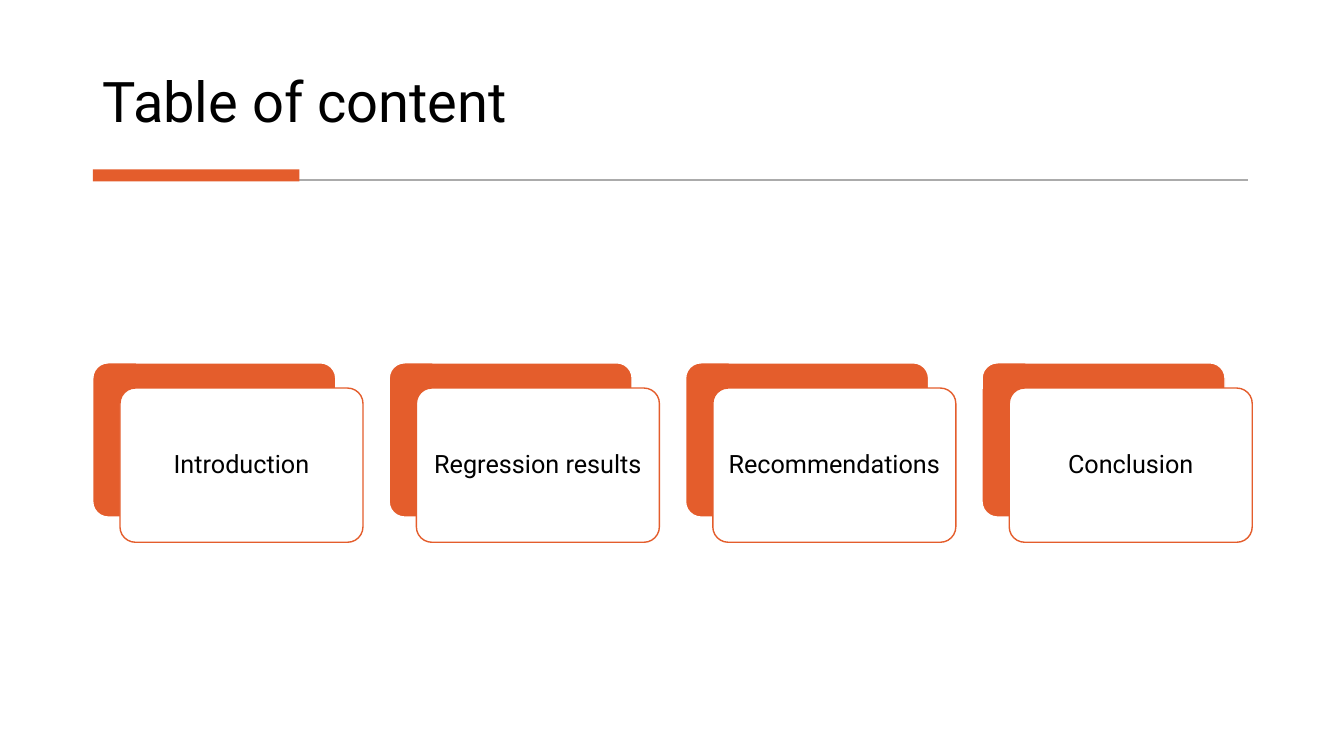
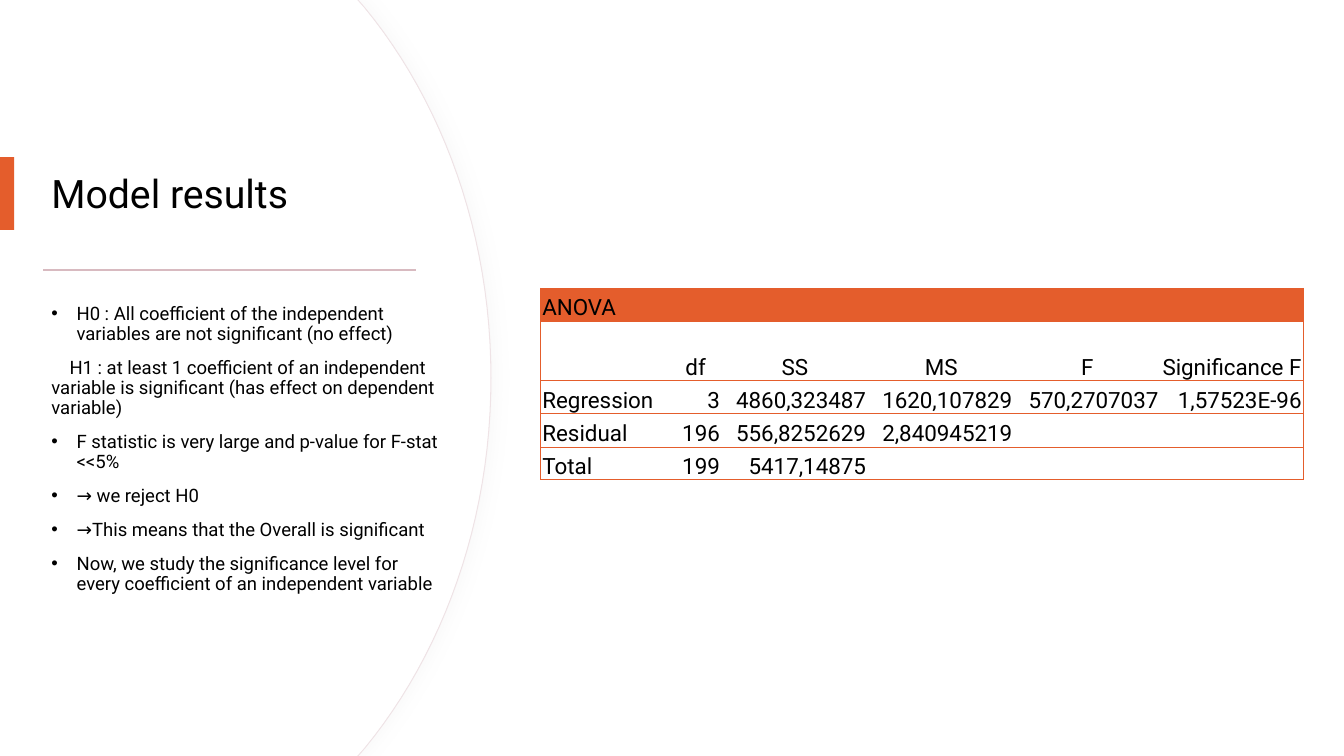
import dataclasses

import pptx
import pptx.dml.color
import pptx.enum.shapes
import pptx.enum.text
import pptx.oxml
import pptx.oxml.ns
import pptx.util

Inches = pptx.util.Inches
Pt = pptx.util.Pt
qn = pptx.oxml.ns.qn
SHAPES = pptx.enum.shapes.MSO_SHAPE
ANCHOR = pptx.enum.text.MSO_ANCHOR
ALIGN = pptx.enum.text.PP_ALIGN
NAMESPACE = pptx.oxml.ns.nsdecls("a")


@dataclasses.dataclass(frozen=True)
class Theme:
    font: str = "Roboto"
    text: str = "000000"
    accent: str = "E45D2C"
    paper: str = "FFFFFF"
    grey_rule: str = "ABABAB"
    pink_rule: str = "D8BAC0"
    panel_line: str = "EFE3E6"
    panel_shadow: str = "D9D9D9"
    title_size: float = 40
    side_title_size: float = 28
    card_size: float = 18
    table_size: float = 16
    body_size: float = 13.2
    line_spacing: float = 0.9


THEME = Theme()

AGENDA = ["Introduction", "Regression results", "Recommendations", "Conclusion"]

# Each entry: text, and whether it has a bullet.
FINDINGS = [
    ("H0 : All coefficient of the independent variables are not significant (no effect)", True),
    ("H1 : at least 1 coefficient of an independent variable is significant "
     "(has effect on dependent variable)", False),
    ("F statistic is very large and p-value for F-stat <<5%", True),
    ("→ we reject H0", True),
    ("→This means that the Overall is significant", True),
    ("Now, we study the significance level for every coefficient of an independent variable", True),
]

ANOVA = [
    ["ANOVA", "", "", "", "", ""],
    ["", "df", "SS", "MS", "F", "Significance F"],
    ["Regression", "3", "4860,323487", "1620,107829", "570,2707037", "1,57523E-96"],
    ["Residual", "196", "556,8252629", "2,840945219", "", ""],
    ["Total", "199", "5417,14875", "", "", ""],
]
ANOVA_WIDTHS = [1.28, 0.52, 1.45, 1.45, 1.45, 1.42]
ANOVA_HEIGHTS = [0.32, 0.59, 0.33, 0.33, 0.32]


def rgb(value):
    return pptx.dml.color.RGBColor.from_string(value)


def format_paragraph(paragraph, size, align=ALIGN.LEFT, spacing=THEME.line_spacing):
    paragraph.alignment = align
    paragraph.line_spacing = spacing
    for run in paragraph.runs:
        run.font.name = THEME.font
        run.font.size = Pt(size)
        run.font.color.rgb = rgb(THEME.text)


def place(shape, left, top, width, height):
    shape.left, shape.top = Inches(left), Inches(top)
    shape.width, shape.height = Inches(width), Inches(height)


def set_title(slide, text, box, size, anchor):
    title = slide.shapes.title
    place(title, *box)
    frame = title.text_frame
    frame.text = text
    frame.auto_size = pptx.enum.text.MSO_AUTO_SIZE.NONE
    frame.vertical_anchor = anchor
    format_paragraph(frame.paragraphs[0], size)


def paint(shape, fill, line=None, line_width=1):
    shape.shadow.inherit = False
    shape.fill.solid()
    shape.fill.fore_color.rgb = rgb(fill)
    if line:
        shape.line.color.rgb = rgb(line)
        shape.line.width = Pt(line_width)
    else:
        shape.line.fill.background()


def add_box(slide, kind, box, fill, line=None):
    shape = slide.shapes.add_shape(kind, *map(Inches, box))
    paint(shape, fill, line)
    return shape


def add_rule(slide, left, top, width, color):
    rule = slide.shapes.add_connector(
        pptx.enum.shapes.MSO_CONNECTOR.STRAIGHT,
        Inches(left), Inches(top), Inches(left + width), Inches(top))
    rule.line.color.rgb = rgb(color)
    rule.line.width = Pt(1.5)
    rule.element.spPr.append(pptx.oxml.parse_xml(f"<a:effectLst {NAMESPACE}/>"))


def add_card(slide, left, top, text):
    """Add an accent card with a white card in front."""
    width, height = 2.41, 1.53
    back = add_box(slide, SHAPES.ROUNDED_RECTANGLE, (left, top, width, height),
                   THEME.accent, THEME.paper)
    front = add_box(slide, SHAPES.ROUNDED_RECTANGLE,
                    (left + 0.27, top + 0.25, width, height), THEME.paper, THEME.accent)
    for card in (back, front):
        card.adjustments[0] = 0.1
    frame = front.text_frame
    frame.margin_left = frame.margin_right = Inches(0.05)
    frame.vertical_anchor = ANCHOR.MIDDLE
    frame.text = text
    format_paragraph(frame.paragraphs[0], THEME.card_size, ALIGN.CENTER)


def bezier(start, first, second, end, steps=24):
    """Return points on a cubic curve."""
    points = []
    for step in range(steps + 1):
        t = step / steps
        weights = ((1 - t) ** 3, 3 * t * (1 - t) ** 2, 3 * t ** 2 * (1 - t), t ** 3)
        points.append(tuple(
            sum(weight * value for weight, value in zip(weights, values))
            for values in zip(start, first, second, end)))
    return points


def add_round_panel(slide, shift, line=None):
    """Add a full-height panel with a curved right edge, behind everything else."""
    upper = [(3.54, 0)] + bezier((3.61, 0.08), (4.38, 1.02), (4.86, 2.32), (4.86, 3.75))
    lower = [(x, 7.5 - y) for x, y in reversed(upper[:-1])]
    edge = [(Inches(x + shift), Inches(y)) for x, y in upper + lower]
    builder = slide.shapes.build_freeform(0, 0)
    builder.add_line_segments(edge + [(0, Inches(7.5))], close=True)
    panel = builder.convert_to_shape()
    paint(panel, THEME.paper, line, 0.75)
    panel.element.getparent().insert(2, panel.element)
    return panel


def add_soft_shadow(shape):
    shape.element.spPr.find(qn("a:effectLst")).append(pptx.oxml.parse_xml(
        f'<a:outerShdw {NAMESPACE} blurRad="{Pt(10)}" dist="{Pt(3)}" dir="0">'
        f'<a:srgbClr val="{THEME.panel_shadow}"><a:alpha val="15000"/></a:srgbClr>'
        "</a:outerShdw>"))


def set_bullet(paragraph, bulleted):
    properties = paragraph._p.get_or_add_pPr()
    margin, indent = (0.25, -0.25) if bulleted else (0, 0.18)
    properties.set("marL", str(Inches(margin)))
    properties.set("indent", str(Inches(indent)))
    mark = '<a:buChar {} char="•"/>' if bulleted else "<a:buNone {}/>"
    properties.append(pptx.oxml.parse_xml(mark.format(NAMESPACE)))


def fill_body(slide, items, box):
    body = slide.placeholders[1]
    place(body, *box)
    frame = body.text_frame
    frame.text = "\n".join(text for text, _ in items)
    frame.auto_size = pptx.enum.text.MSO_AUTO_SIZE.NONE
    for paragraph, (_, bulleted) in zip(frame.paragraphs, items):
        format_paragraph(paragraph, THEME.body_size)
        paragraph.space_before = Pt(10)
        set_bullet(paragraph, bulleted)


def set_borders(cell, visible):
    """Draw the sides named in visible (L, R, T, B) and clear the others."""
    properties = cell._tc.get_or_add_tcPr()
    for index, side in enumerate("LRTB"):
        paint_xml = (f'<a:solidFill><a:srgbClr val="{THEME.accent}"/></a:solidFill>'
                     if side in visible else "<a:noFill/>")
        properties.insert(index, pptx.oxml.parse_xml(
            f'<a:ln{side} {NAMESPACE} w="{Pt(0.5)}">{paint_xml}</a:ln{side}>'))


def add_anova_table(slide, left, top):
    frame = slide.shapes.add_table(
        len(ANOVA), len(ANOVA_WIDTHS), Inches(left), Inches(top),
        Inches(sum(ANOVA_WIDTHS)), Inches(sum(ANOVA_HEIGHTS)))
    table = frame.table
    table.first_row = table.horz_banding = False
    for column, width in zip(table.columns, ANOVA_WIDTHS):
        column.width = Inches(width)
    for row, height in zip(table.rows, ANOVA_HEIGHTS):
        row.height = Inches(height)
    last_column = len(ANOVA_WIDTHS) - 1
    for row_index, values in enumerate(ANOVA):
        for column_index, value in enumerate(values):
            cell = table.cell(row_index, column_index)
            cell.text = value
            cell.margin_left = cell.margin_right = cell.margin_top = Inches(0.02)
            cell.margin_bottom = 0
            cell.vertical_anchor = ANCHOR.BOTTOM
            cell.fill.solid()
            cell.fill.fore_color.rgb = rgb(THEME.paper if row_index else THEME.accent)
            if column_index == 0:
                align = ALIGN.LEFT
            else:
                align = ALIGN.CENTER if row_index == 1 else ALIGN.RIGHT
            format_paragraph(cell.text_frame.paragraphs[0], THEME.table_size, align, 1.0)
            sides = {0: "L", last_column: "R"}.get(column_index, "")
            set_borders(cell, "TB" + sides)


def build_contents(presentation):
    slide = presentation.slides.add_slide(presentation.slide_layouts[5])
    set_title(slide, "Table of content", (0.92, 0.28, 11.49, 1.11),
              THEME.title_size, ANCHOR.BOTTOM)
    add_rule(slide, 0.95, 1.79, 11.43, THEME.grey_rule)
    add_box(slide, SHAPES.RECTANGLE, (0.92, 1.68, 2.05, 0.12), THEME.accent)
    for index, text in enumerate(AGENDA):
        add_card(slide, 0.92 + 2.94 * index, 3.6, text)


def build_results(presentation):
    slide = presentation.slides.add_slide(presentation.slide_layouts[1])
    add_round_panel(slide, 0)
    add_soft_shadow(add_round_panel(slide, 0.01, THEME.panel_line))
    set_title(slide, "Model results", (0.41, 1.27, 3.76, 1.35),
              THEME.side_title_size, ANCHOR.MIDDLE)
    add_box(slide, SHAPES.RECTANGLE, (0, 1.56, 0.14, 0.72), THEME.accent)
    add_rule(slide, 0.43, 2.68, 3.7, THEME.pink_rule)
    fill_body(slide, FINDINGS, (0.41, 2.97, 4.11, 3.51))
    add_anova_table(slide, 5.36, 2.86)


def main():
    presentation = pptx.Presentation()
    presentation.slide_width = Inches(13.33)
    presentation.slide_height = Inches(7.5)
    build_contents(presentation)
    build_results(presentation)
    presentation.save("out.pptx")


if __name__ == "__main__":
    main()
